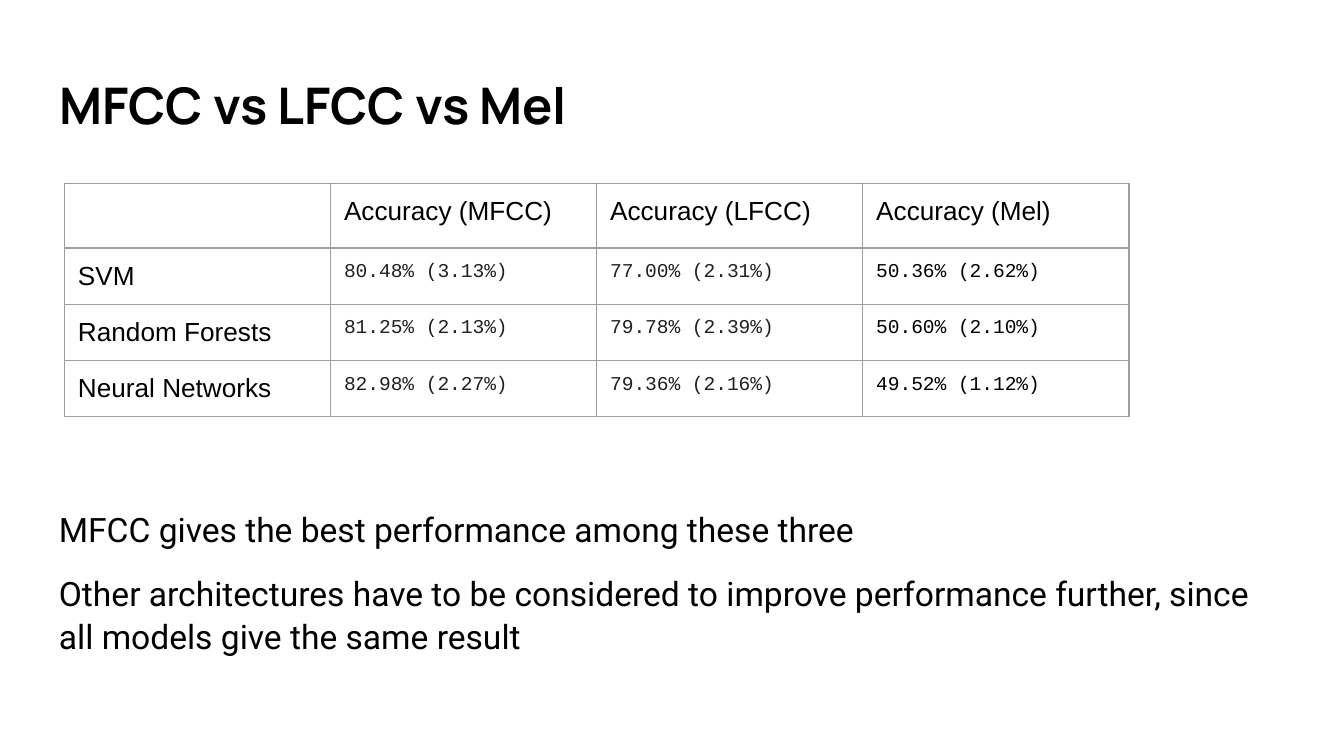
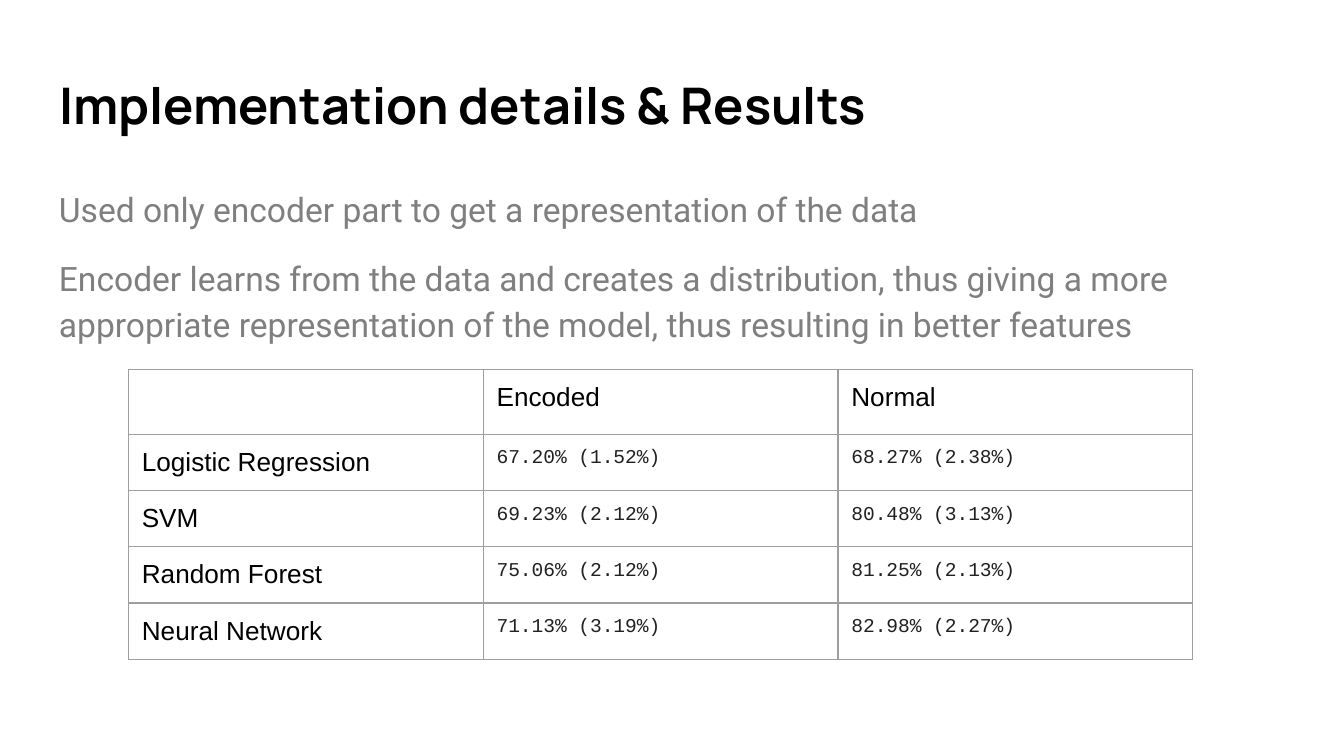
"""Build two slides that compare model accuracies in bordered tables."""
from dataclasses import dataclass

from lxml.etree import SubElement
from pptx import Presentation
from pptx.dml.color import RGBColor
from pptx.enum.text import MSO_ANCHOR, MSO_AUTO_SIZE, PP_ALIGN
from pptx.oxml.ns import qn
from pptx.util import Pt

PX = 4572
INSET = 20 * PX
ROW_H = 83
COLORS = {"ink": "000000", "muted": "7F7F7F", "value": "212121", "border": "9E9E9E", "paper": "FFFFFF"}


@dataclass(frozen=True)
class Box:
    left: int
    top: int
    width: int
    height: int

    def emu(self) -> tuple[int, ...]:
        """Return the box lengths in EMU."""
        return tuple(v * PX for v in (self.left, self.top, self.width, self.height))


@dataclass(frozen=True)
class Grid:
    left: int
    top: int
    col_w: int
    header_h: int
    rows: tuple[tuple[str, ...], ...]
    ink_cols: tuple[int, ...] = ()


@dataclass(frozen=True)
class Page:
    title: str
    body: tuple[str, ...]
    body_box: Box
    body_color: str
    spacing: float
    grid: Grid


TITLE_BOX = Box(68, 98, 1864, 136)
PAGES = (
    Page(
        "MFCC vs LFCC vs Mel",
        ("MFCC gives the best performance among these three",
         "Other architectures have to be considered to improve performance further, "
         "since all models give the same result"),
        Box(68, 734, 1854, 266), "ink", 1.05,
        Grid(96, 273, 396, 83, (
            ("", "Accuracy (MFCC)", "Accuracy (LFCC)", "Accuracy (Mel)"),
            ("SVM", "80.48% (3.13%)", "77.00% (2.31%)", "50.36% (2.62%)"),
            ("Random Forests", "81.25% (2.13%)", "79.78% (2.39%)", "50.60% (2.10%)"),
            ("Neural Networks", "82.98% (2.27%)", "79.36% (2.16%)", "49.52% (1.12%)"),
        ), ink_cols=(3,)),
    ),
    Page(
        "Implementation details & Results",
        ("Used only encoder part to get a representation of the data",
         "Encoder learns from the data and creates a distribution, thus giving a more "
         "appropriate representation of the model, thus resulting in better features"),
        Box(68, 252, 1864, 818), "muted", 1.15,
        Grid(191, 550, 528, 46, (
            ("", "Encoded", "Normal"),
            ("Logistic Regression", "67.20% (1.52%)", "68.27% (2.38%)"),
            ("SVM", "69.23% (2.12%)", "80.48% (3.13%)"),
            ("Random Forest", "75.06% (2.12%)", "81.25% (2.13%)"),
            ("Neural Network", "71.13% (3.19%)", "82.98% (2.27%)"),
        )),
    ),
)


def rgb(name: str) -> RGBColor:
    """Look up a palette colour."""
    return RGBColor.from_string(COLORS[name])


def write(p, text: str, *, font: str, size: float, color: str = "ink", bold: bool = False,
          spacing: float | None = None, gap: int | None = None) -> None:
    """Write one formatted run into a left-aligned paragraph."""
    p.alignment = PP_ALIGN.LEFT
    if spacing is not None:
        p.line_spacing = spacing
    if gap is not None:
        p.space_before = p.space_after = Pt(gap)
    r = p.add_run()
    r.text = text
    r.font.name, r.font.size, r.font.bold = font, Pt(size), bold
    r.font.color.rgb = rgb(color)


def set_insets(target) -> None:
    """Give a text frame or a table cell the shared inset."""
    target.margin_left = target.margin_right = INSET
    target.margin_top = target.margin_bottom = INSET


def set_frame(tf) -> None:
    """Apply the shared text frame settings."""
    set_insets(tf)
    tf.word_wrap = True
    tf.auto_size = MSO_AUTO_SIZE.NONE
    tf.vertical_anchor = MSO_ANCHOR.TOP


def add_title(s, text: str) -> None:
    """Place and format the title placeholder."""
    sp = s.shapes.title
    sp.left, sp.top, sp.width, sp.height = TITLE_BOX.emu()
    set_frame(sp.text_frame)
    write(sp.text_frame.paragraphs[0], text, font="Manrope", size=27, bold=True, spacing=0.94)


def add_body(s, page: Page) -> None:
    """Add the body paragraphs."""
    tf = s.shapes.add_textbox(*page.body_box.emu()).text_frame
    set_frame(tf)
    for i, text in enumerate(page.body):
        p = tf.add_paragraph() if i else tf.paragraphs[0]
        write(p, text, font="Roboto", size=18, color=page.body_color,
              spacing=page.spacing, gap=12 if i else 0)


def set_borders(cell) -> None:
    """Draw a thin line on all four sides of a cell."""
    tc_pr = cell._tc.get_or_add_tcPr()
    for i, side in enumerate(("lnL", "lnR", "lnT", "lnB")):
        ln = SubElement(tc_pr, qn(f"a:{side}"), w=str(Pt(0.75)))
        fill = SubElement(ln, qn("a:solidFill"))
        SubElement(fill, qn("a:srgbClr"), val=COLORS["border"])
        tc_pr.insert(i, ln)


def set_empty_font(p, font: str) -> None:
    """Set the font that gives an empty paragraph its height."""
    end = SubElement(p._p, qn("a:endParaRPr"))
    SubElement(end, qn("a:latin"), typeface=font)


def add_grid(s, grid: Grid) -> None:
    """Add a table with a label column and monospaced values."""
    n_rows, n_cols = len(grid.rows), len(grid.rows[0])
    box = Box(grid.left, grid.top, n_cols * grid.col_w, grid.header_h + (n_rows - 1) * ROW_H)
    table = s.shapes.add_table(n_rows, n_cols, *box.emu()).table
    table.first_row = table.horz_banding = False
    for col in table.columns:
        col.width = grid.col_w * PX
    for i, row in enumerate(grid.rows):
        table.rows[i].height = (ROW_H if i else grid.header_h) * PX
        for j, text in enumerate(row):
            cell = table.cell(i, j)
            set_insets(cell)
            cell.fill.background()
            set_borders(cell)
            p = cell.text_frame.paragraphs[0]
            if i and j:
                color = "ink" if j in grid.ink_cols else "value"
                write(p, text, font="Courier New", size=10.5, color=color)
            elif text:
                write(p, text, font="Arial", size=14)
            else:
                set_empty_font(p, "Arial")


def add_page(prs, page: Page) -> None:
    """Add one slide with title, body and table."""
    s = prs.slides.add_slide(prs.slide_layouts[5])
    s.background.fill.solid()
    s.background.fill.fore_color.rgb = rgb("paper")
    add_title(s, page.title)
    add_body(s, page)
    add_grid(s, page.grid)


def main() -> None:
    """Build and save the presentation."""
    prs = Presentation()
    prs.slide_width, prs.slide_height = 2000 * PX, 1125 * PX
    for page in PAGES:
        add_page(prs, page)
    prs.save("out.pptx")


if __name__ == "__main__":
    main()
